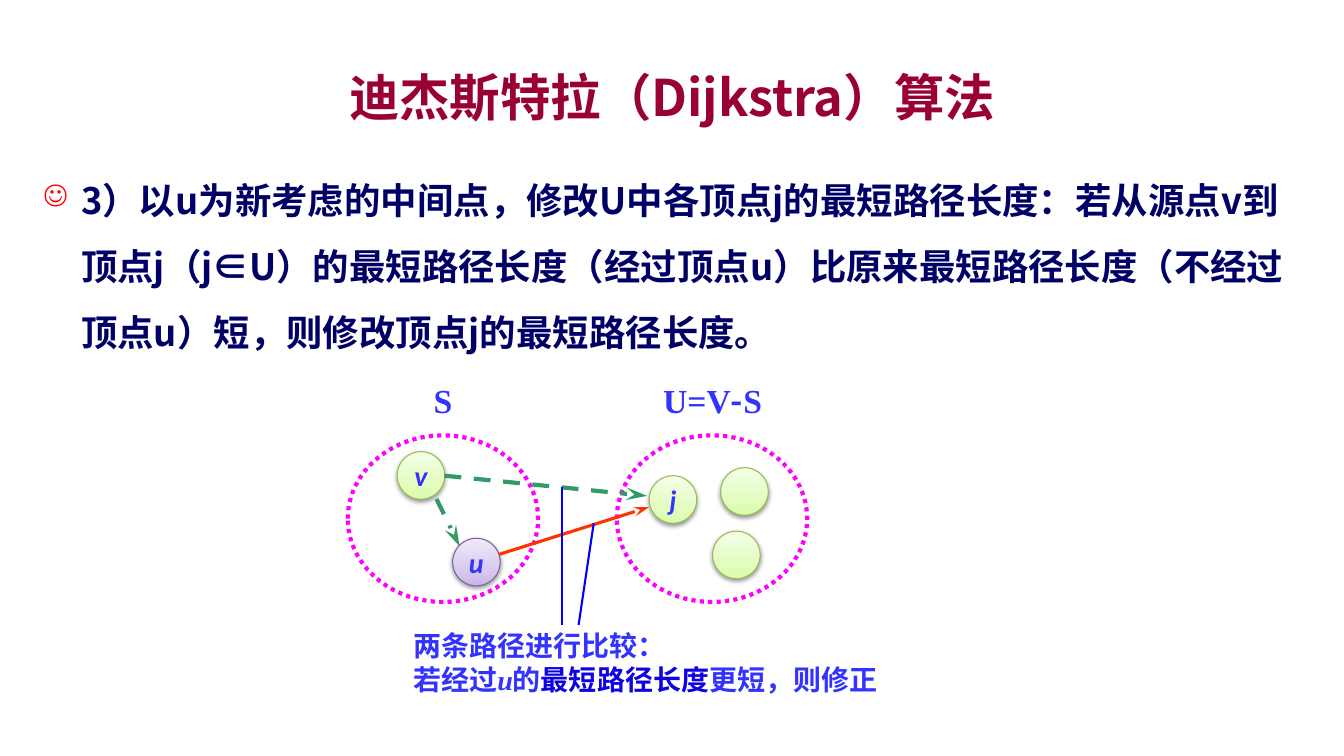
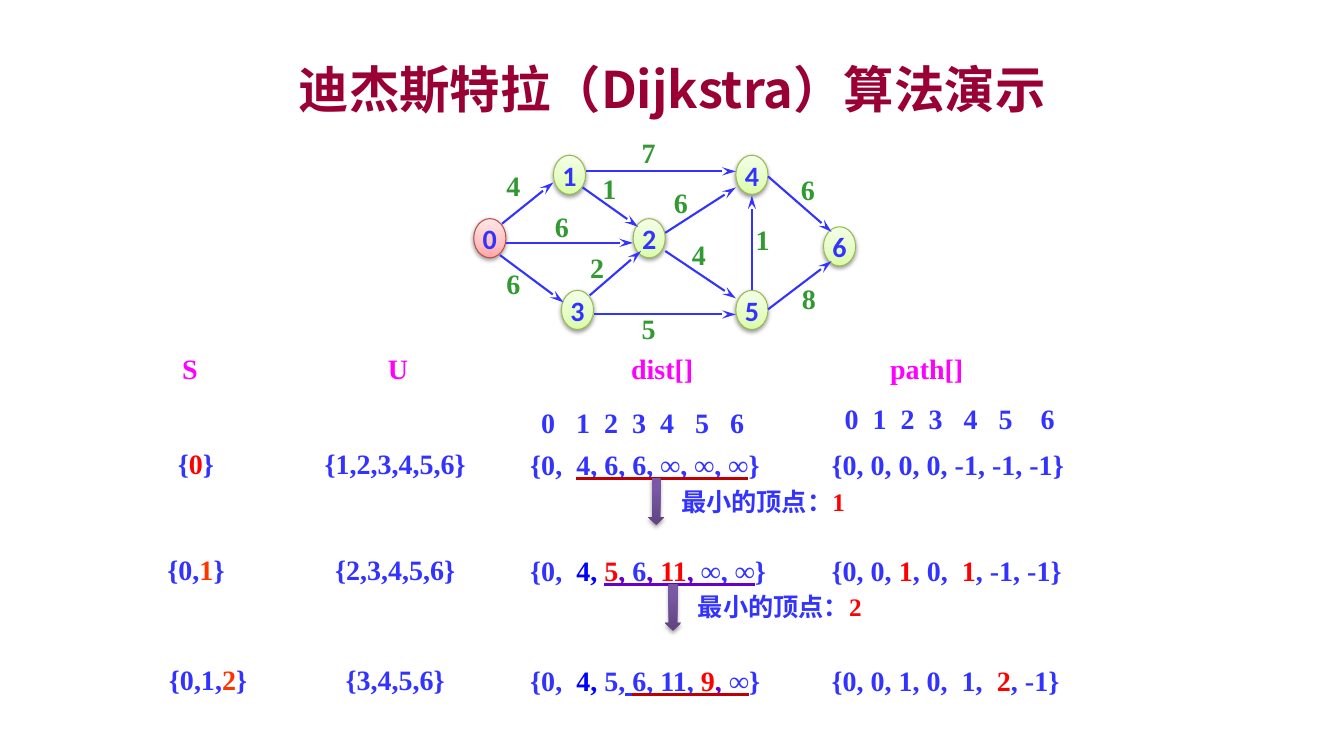
from copy import deepcopy

from lxml.etree import SubElement
from pptx import Presentation
from pptx.dml.color import RGBColor
from pptx.enum.dml import MSO_LINE as Dash
from pptx.enum.shapes import MSO_CONNECTOR as Connector, MSO_SHAPE as Preset
from pptx.enum.text import MSO_ANCHOR as Anchor, MSO_UNDERLINE as Underline, PP_ALIGN as Align
from pptx.oxml.ns import qn
from pptx.util import Pt

# Colours
CRIMSON = RGBColor(0x99, 0x00, 0x33)
NAVY = RGBColor(0x00, 0x00, 0x66)
BLUE = RGBColor(0x33, 0x33, 0xFF)
PURE_BLUE = RGBColor(0x00, 0x00, 0xFF)
DEEP_BLUE = RGBColor(0x10, 0x00, 0xE4)
RED = RGBColor(0xFF, 0x00, 0x00)
ORANGE = RGBColor(0xFF, 0x33, 0x00)
DARK_RED = RGBColor(0xC0, 0x00, 0x00)
PURPLE = RGBColor(0x66, 0x00, 0xCC)
MAGENTA = RGBColor(0xFF, 0x00, 0xFF)
TEAL = RGBColor(0x33, 0x99, 0x66)
GREEN = RGBColor(0x33, 0x99, 0x33)


def tones(*codes):
    return [RGBColor.from_string(code) for code in codes]


# Outline colour (or None), then the gradient from bottom to top
LIME = tones("98B955", "DAFDA7", "E4FCC2", "F5FFE7")
LILAC = tones("7D60A0", "C9B5E8", "D8CBEE", "F0EAF9")
ROSE = tones("BF4C48", "FFA6A5", "FFC0BF", "FFE7E7")
VIOLET = [None] + tones("5F4480", "7B58A6", "7C57A8")

SANS, SERIF, NODE_FONT = "Noto Sans CJK SC", "Times New Roman", "Calibri"


class Deck:
    """Shared style and the slide being built."""

    def __init__(self):
        self.prs = Presentation()
        self.prs.slide_width, self.prs.slide_height = Pt(960), Pt(540)
        self.slide = None

    def new_slide(self, title, top, height):
        self.slide = self.prs.slides.add_slide(self.prs.slide_layouts[6])
        self.text((72, top, 816, height), title, size=36, colour=CRIMSON, font=SANS,
                  align=Align.CENTER, anchor=Anchor.MIDDLE)

    def style(self, run, size, colour, font, italic=False, under=None):
        run.font.size, run.font.bold, run.font.italic = Pt(size), True, italic
        run.font.color.rgb = colour
        props = run.font._element
        if under is not None:
            run.font.underline = Underline.HEAVY_LINE
            fill = SubElement(SubElement(props, qn("a:uFill")), qn("a:solidFill"))
            SubElement(fill, qn("a:srgbClr"), val=str(under))
        run.font.name = font
        SubElement(props, qn("a:ea"), typeface=SANS)

    def text(self, box, *lines, size=20, colour=BLUE, font=SERIF, align=Align.LEFT,
             anchor=Anchor.TOP, inset=(0, 0)):
        """Each line is a string or a list of strings and (string, changes) pairs."""
        frame = self.slide.shapes.add_textbox(*map(Pt, box)).text_frame
        frame.word_wrap, frame.vertical_anchor = True, anchor
        frame.margin_left = frame.margin_right = Pt(inset[0])
        frame.margin_top = frame.margin_bottom = Pt(inset[1])
        for number, line in enumerate(lines):
            para = frame.add_paragraph() if number else frame.paragraphs[0]
            para.alignment = align
            for part in [line] if isinstance(line, str) else line:
                words, changes = (part, {}) if isinstance(part, str) else part
                run = para.add_run()
                run.text = words
                self.style(run, **{"size": size, "colour": colour, "font": font, **changes})
        return frame

    def centred(self, x, y, words, width=120, **look):
        return self.text((x - width / 2, y - 12, width, 24), words, align=Align.CENTER, **look)

    def bullet(self, box, words):
        para = self.text(box, words, size=26, colour=NAVY, font=SANS, inset=(7.2, 3.6)).paragraphs[0]
        para.line_spacing = Pt(47)
        props = para._p.get_or_add_pPr()
        props.set("marL", str(Pt(27)))
        props.set("indent", str(Pt(-27)))
        SubElement(SubElement(props, qn("a:buClr")), qn("a:srgbClr"), val=str(RED))
        SubElement(props, qn("a:buSzPct"), val="80000")
        SubElement(props, qn("a:buChar"), char="☺")

    def tabbed(self, box, words, stops):
        para = self.text(box, "\t".join(words)).paragraphs[0]
        tabs = SubElement(para._p.get_or_add_pPr(), qn("a:tabLst"))
        for stop in stops:
            SubElement(tabs, qn("a:tab"), pos=str(Pt(stop)), algn="l")

    def glossy(self, preset, box, palette, middle=0.35):
        """Shape with a three-step gradient and a soft shadow below."""
        shape = self.slide.shapes.add_shape(preset, *map(Pt, box))
        outline, *steps = palette
        shape.fill.gradient()
        shape.fill.gradient_angle = 90
        stop_list = shape._element.spPr.find(".//" + qn("a:gsLst"))
        stop_list.append(deepcopy(stop_list[0]))
        for stop, place, colour in zip(shape.fill.gradient_stops, (0, middle, 1), steps):
            stop.position, stop.color.rgb = place, colour
        if outline is None:
            shape.line.fill.background()
        else:
            shape.line.color.rgb, shape.line.width = outline, Pt(0.75)
        shape.shadow.inherit = False
        effects = shape._element.spPr.find(qn("a:effectLst"))
        shadow = SubElement(effects, qn("a:outerShdw"), blurRad=str(Pt(3.1)), dist=str(Pt(1.6)),
                            dir="5400000", rotWithShape="0")
        black = SubElement(shadow, qn("a:srgbClr"), val="000000")
        SubElement(black, qn("a:alpha"), val="38000")
        return shape

    def node(self, box, label="", palette=LIME, italic=False):
        frame = self.glossy(Preset.OVAL, box, palette).text_frame
        frame.word_wrap, frame.vertical_anchor = False, Anchor.MIDDLE
        para = frame.paragraphs[0]
        para.alignment = Align.CENTER
        if label:
            para.text = label
            self.style(para.runs[0], 20, BLUE, NODE_FONT, italic)

    def dotted_set(self, box):
        ring = self.slide.shapes.add_shape(Preset.OVAL, *map(Pt, box))
        ring.fill.background()
        ring.shadow.inherit = False
        ring.line.color.rgb, ring.line.width = MAGENTA, Pt(3)
        ring.line.dash_style = Dash.ROUND_DOT

    def line(self, ends, colour=BLUE, width=1.5, dash=None, arrow=True):
        link = self.slide.shapes.add_connector(Connector.STRAIGHT, *map(Pt, ends))
        link.line.color.rgb, link.line.width = colour, Pt(width)
        if dash is not None:
            link.line.dash_style = dash
        if arrow:
            SubElement(link.line._get_or_add_ln(), qn("a:tailEnd"), type="stealth", len="lg")
        SubElement(link._element.spPr, qn("a:effectLst"))


def relaxation_slide(deck):
    deck.new_slide("迪杰斯特拉（Dijkstra）算法", 41.8, 54)
    deck.bullet((23.8, 108, 912, 144),
                "3）以u为新考虑的中间点，修改U中各顶点j的最短路径长度：若从源点v到顶点j（j∈U）"
                "的最短路径长度（经过顶点u）比原来最短路径长度（不经过顶点u）短，则修改顶点j的最短路径长度。")

    # Vertex sets S and U
    for left in (248.4, 440.6):
        deck.dotted_set((left, 311, 136, 119))
    deck.centred(316.4, 283.4, "S", size=24)
    deck.centred(509, 283.4, ["U=V", ("-", {"font": SANS}), "S"], size=24)
    for x, y, label, palette in [(283.7, 322.6, "v", LIME), (323.3, 384.5, "u", LILAC),
                                 (463.7, 339.8, "j", LIME), (509, 379.4, "", LIME),
                                 (514.8, 334.1, "", LIME)]:
        deck.node((x, y, 34, 34), label, palette, italic=True)

    # Paths to j and the pointers to their comparison
    deck.line((356.4, 396, 463.7, 362.2), ORANGE, 2.25)
    for ends in [(317.5, 339.8, 462.2, 354.2), (311.8, 356.4, 328.3, 390.2)]:
        deck.line(ends, TEAL, 3, Dash.DASH)
    for ends in [(401.4, 347.8, 401.4, 446.4), (424.1, 373.7, 413.3, 446.4)]:
        deck.line(ends, PURE_BLUE, arrow=False)
    comparison = deck.text(
        (288, 452.2, 361, 53), "两条路径进行比较：",
        ["若经过", ("u", {"italic": True}), "的", ("最短路径长度", {"colour": DEEP_BLUE}), "更短，则修正"],
        inset=(7.2, 3.6))
    for para in comparison.paragraphs:
        para.line_spacing = 0.7
    comparison.paragraphs[1].space_before = Pt(7)


def demo_slide(deck):
    deck.new_slide("迪杰斯特拉（Dijkstra）算法演示", 30.2, 65.5)

    # Graph: vertices by number, then edges with weight and place of the weight
    vertices = [(338.4, 156.2), (395.3, 110.9), (452.2, 156.2), (401, 207.4),
                (525.6, 110.9), (525.6, 207.4), (588.2, 162)]
    for number, (x, y) in enumerate(vertices):
        deck.node((x, y, 23, 28), str(number), LIME if number else ROSE)
    edges = [
        ((358.6, 159.8, 395.3, 130.3), "4", (366.8, 132.1)),
        ((361.4, 173.5, 452.2, 173.5), "6", (401.4, 161.6)),
        ((357.1, 182.2, 402.5, 216), "6", (366.8, 202.7)),
        ((418.3, 122.4, 525.6, 122.4), "7", (463.3, 109.1)),
        ((424.1, 224.6, 525.6, 224.6), "5", (463.3, 234.4)),
        ((421.2, 211, 457.9, 179.3), "2", (426.6, 191.2)),
        ((416.2, 133.9, 455.8, 162), "1", (435.2, 134.3)),
        ((475.2, 166.3, 525.6, 133.9), "6", (486.4, 144.4)),
        ((475.2, 179.3, 525.6, 213.1), "4", (499.3, 181.8)),
        ((537.1, 207.4, 537.1, 139.7), "1", (544.7, 171)),
        ((548.6, 221, 594, 186.5), "8", (577.8, 212.8)),
        ((548.6, 126, 594, 165.6), "6", (577, 135)),
    ]
    for ends, weight, place in edges:
        deck.line(ends)
        deck.centred(*place, weight, width=34, colour=GREEN)

    # Column heads and vertex indices
    for x, head in [(135.7, "S"), (284.3, "U"), (473, "dist[]"), (662, "path[]")]:
        deck.centred(x, 263, head, colour=MAGENTA)
    deck.tabbed((386.6, 289.4, 176, 24), "0123456", (25, 45, 65, 85, 110, 135))
    deck.tabbed((603.4, 286.6, 158, 24), "0123456", (20, 40, 60, 85, 110, 140))

    # States: top, middle of S, then the four columns
    red, orange, blue = {"colour": RED}, {"colour": ORANGE}, {"colour": PURE_BLUE}
    violet_line, red_line = {"under": PURPLE}, {"under": DARK_RED}
    violet = {"colour": PURPLE, **violet_line}
    states = [
        (319, 140, ["{", ("0", red), "}"], "{1,2,3,4,5,6}",
         ["{0,  ", ("4, 6, 6, ∞, ∞, ∞", red_line), "}"],
         "{0, 0, 0, 0, -1, -1, -1}"),
        (394.6, 140, ["{0,", ("1", orange), "}"], "{2,3,4,5,6}",
         ["{0,  ", ("4, ", blue), ("5", {**red, **violet_line}), (", ", violet),
          ("6", violet_line), (", ", violet), ("11", {**red, **violet_line}), (", ", violet),
          ("∞, ∞", violet_line), "}"],
         ["{0, 0, ", ("1", red), ", 0,  ", ("1", red), ", -1, -1}"]),
        (473.4, 148.6, ["{0,1,", ("2", orange), "}"], "{3,4,5,6}",
         ["{0,  ", ("4, ", blue), "5,", (" ", {"under": BLUE}), ("6, 11, ", red_line),
          ("9", {**red, **red_line}), (", ", {"colour": PURPLE, **red_line}),
          ("∞", red_line), "}"],
         ["{0, 0, 1, 0,  1,  ", ("2", red), ", -1}"]),
    ]
    for top, s_middle, done, waiting, dist, path_row in states:
        deck.centred(s_middle, top + 12, done)
        deck.centred(282.3, top + 12, waiting)
        deck.text((378.7, top + 0.5, 193, 24), dist)
        deck.text((594, top + 0.5, 193, 24), path_row)

    # Nearest vertex chosen between states
    for x, y, nearest in [(463, 341.3, "1"), (475, 416.9, "2")]:
        deck.glossy(Preset.DOWN_ARROW, (x, y, 11.5, 33.8), VIOLET, middle=0.8)
        deck.text((x + 16.5, y + 2.2, 152, 29), ["最小的顶点：", (nearest, red)], size=18,
                  inset=(7.2, 3.6))


def main():
    deck = Deck()
    relaxation_slide(deck)
    demo_slide(deck)
    deck.prs.save("out.pptx")


if __name__ == "__main__":
    main()
